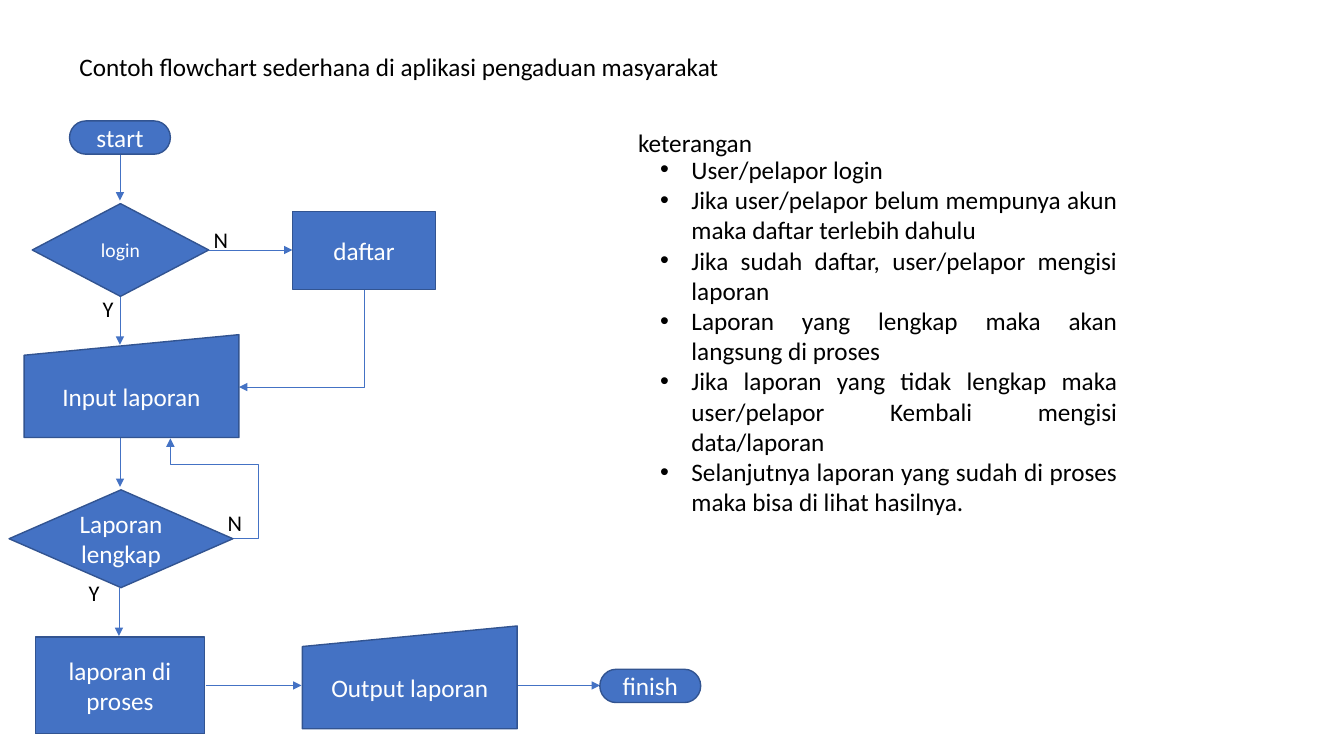
from dataclasses import dataclass

from lxml.etree import SubElement
from pptx import Presentation
from pptx.dml.color import RGBColor
from pptx.enum.shapes import MSO_CONNECTOR, MSO_SHAPE
from pptx.enum.text import MSO_ANCHOR, MSO_AUTO_SIZE, PP_ALIGN
from pptx.oxml.ns import qn
from pptx.shapes.connector import Connector
from pptx.slide import Slide
from pptx.text.text import TextFrame
from pptx.util import Inches, Pt


@dataclass(frozen=True)
class Theme:
    font: str = "Calibri"
    fill: RGBColor = RGBColor(0x44, 0x72, 0xC4)
    outline: RGBColor = RGBColor(0x32, 0x54, 0x91)
    light_text: RGBColor = RGBColor(0xFF, 0xFF, 0xFF)
    dark_text: RGBColor = RGBColor(0, 0, 0)
    body_size: int = 18
    branch_size: int = 16
    small_size: int = 14
    outline_width: float = 1
    arrow_width: float = 0.5


THEME = Theme()


@dataclass(frozen=True)
class Step:
    text: str
    kind: MSO_SHAPE
    left: float
    top: float
    width: float
    height: float
    size: int = THEME.body_size


@dataclass(frozen=True)
class Arrow:
    start: tuple[float, float]
    end: tuple[float, float]


@dataclass(frozen=True)
class Label:
    text: str
    left: float
    top: float
    width: float = 0.3
    height: float = 0.37
    size: int = THEME.branch_size
    wrap: bool = True


STEPS = [
    Step("start", MSO_SHAPE.FLOWCHART_TERMINATOR, 0.69, 1.2, 1, 0.33),
    Step("daftar", MSO_SHAPE.FLOWCHART_PROCESS, 2.9, 2.1, 1.42, 0.77),
    Step("login", MSO_SHAPE.FLOWCHART_DECISION, 0.32, 2.02, 1.75, 0.92, THEME.small_size),
    Step("Input laporan", MSO_SHAPE.FLOWCHART_MANUAL_INPUT, 0.24, 3.32, 2.13, 1.02),
    Step("Laporan lengkap", MSO_SHAPE.FLOWCHART_DECISION, 0.09, 4.86, 2.22, 0.97),
    Step("laporan di proses", MSO_SHAPE.FLOWCHART_PROCESS, 0.35, 6.32, 1.68, 0.96),
    Step("Output laporan", MSO_SHAPE.FLOWCHART_MANUAL_INPUT, 3, 6.21, 2.13, 1.02),
    Step("finish", MSO_SHAPE.FLOWCHART_TERMINATOR, 5.95, 6.64, 1, 0.33),
]
STRAIGHT_ARROWS = [
    Arrow((1.19, 1.53), (1.19, 1.99)),
    Arrow((2.07, 2.48), (2.9, 2.48)),
    Arrow((1.19, 2.94), (1.19, 3.42)),
    Arrow((1.19, 4.35), (1.19, 4.83)),
    Arrow((1.18, 5.83), (1.18, 6.31)),
    Arrow((2.04, 6.8), (2.99, 6.8)),
    Arrow((5, 6.8), (5.95, 6.8)),
]
REGISTERED_ARROW = Arrow((3.61, 2.86), (2.37, 3.84))
INCOMPLETE_ARROW = Arrow((2.31, 5.34), (1.69, 4.35))
LABELS = [
    Label("N", 2.16, 5),
    Label("Y", 0.78, 5.7),
    Label("N", 2.02, 2.19),
    Label("Y", 0.92, 2.88),
    Label("Contoh flowchart sederhana di aplikasi pengaduan masyarakat",
          0.69, 0.46, 6.74, 0.4, THEME.body_size, False),
    Label("keterangan", 6.23, 1.21, 1.35, 0.4, THEME.body_size, False),
]
NOTES = Label(
    "\n".join([
        "User/pelapor login",
        "Jika user/pelapor belum mempunya akun maka daftar terlebih dahulu",
        "Jika sudah daftar, user/pelapor mengisi laporan",
        "Laporan yang lengkap maka akan langsung di proses",
        "Jika laporan yang tidak lengkap maka user/pelapor Kembali mengisi data/laporan",
        "Selanjutnya laporan yang sudah di proses maka bisa di lihat hasilnya.",
    ]),
    6.45, 1.48, 4.73, 3.74, THEME.body_size,
)


def format_text(text_frame: TextFrame, size: int, color: RGBColor, alignment: PP_ALIGN) -> None:
    for paragraph in text_frame.paragraphs:
        paragraph.alignment = alignment
        for run in paragraph.runs:
            run.font.name = THEME.font
            run.font.size = Pt(size)
            run.font.color.rgb = color


def draw_step(slide: Slide, step: Step) -> None:
    shape = slide.shapes.add_shape(
        step.kind, Inches(step.left), Inches(step.top), Inches(step.width), Inches(step.height))
    shape.shadow.inherit = False
    shape.fill.solid()
    shape.fill.fore_color.rgb = THEME.fill
    shape.line.color.rgb = THEME.outline
    shape.line.width = Pt(THEME.outline_width)
    shape.text_frame.text = step.text
    shape.text_frame.word_wrap = True
    shape.text_frame.vertical_anchor = MSO_ANCHOR.MIDDLE
    format_text(shape.text_frame, step.size, THEME.light_text, PP_ALIGN.CENTER)


def draw_arrow(slide: Slide, arrow: Arrow, kind: MSO_CONNECTOR = MSO_CONNECTOR.STRAIGHT) -> Connector:
    connector = slide.shapes.add_connector(
        kind, *(Inches(value) for value in arrow.start + arrow.end))
    connector.line.color.rgb = THEME.fill
    connector.line.width = Pt(THEME.arrow_width)
    properties = connector.element.spPr
    SubElement(properties.find(qn("a:ln")), qn("a:tailEnd"), type="triangle")
    SubElement(properties, qn("a:effectLst"))
    return connector


def draw_down_left_arrow(slide: Slide, arrow: Arrow) -> None:
    """Go down, then left: a one-bend connector turned by 90 degrees about its centre."""
    (start_x, start_y), (end_x, end_y) = arrow.start, arrow.end
    center_x, center_y = (start_x + end_x) / 2, (start_y + end_y) / 2
    half_width, half_height = (end_y - start_y) / 2, (start_x - end_x) / 2
    unturned = Arrow((center_x - half_width, center_y - half_height),
                     (center_x + half_width, center_y + half_height))
    properties = draw_arrow(slide, unturned, MSO_CONNECTOR.ELBOW).element.spPr
    properties.find(qn("a:xfrm")).set("rot", str(90 * 60000))
    properties.find(qn("a:prstGeom")).set("prst", "bentConnector2")


def draw_loop_arrow(slide: Slide, arrow: Arrow, bends: tuple[float, float]) -> None:
    """Draw three bends; bends are shares of the connector's width and height."""
    properties = draw_arrow(slide, arrow, MSO_CONNECTOR.ELBOW).element.spPr
    geometry = properties.find(qn("a:prstGeom"))
    geometry.set("prst", "bentConnector4")
    adjustments = geometry.find(qn("a:avLst"))
    for number, bend in enumerate(bends, start=1):
        SubElement(adjustments, qn("a:gd"), name=f"adj{number}", fmla=f"val {round(bend * 100000)}")


def draw_label(slide: Slide, label: Label, alignment: PP_ALIGN = PP_ALIGN.LEFT) -> TextFrame:
    text_box = slide.shapes.add_textbox(
        Inches(label.left), Inches(label.top), Inches(label.width), Inches(label.height))
    text_frame = text_box.text_frame
    text_frame.text = label.text
    text_frame.word_wrap = label.wrap
    text_frame.auto_size = MSO_AUTO_SIZE.SHAPE_TO_FIT_TEXT
    format_text(text_frame, label.size, THEME.dark_text, alignment)
    return text_frame


def draw_notes(slide: Slide) -> None:
    for paragraph in draw_label(slide, NOTES, PP_ALIGN.JUSTIFY).paragraphs:
        properties = paragraph._p.get_or_add_pPr()
        properties.set("marL", str(Inches(0.31)))
        properties.set("indent", str(Inches(-0.31)))
        SubElement(properties, qn("a:buFont"), typeface="Arial")
        SubElement(properties, qn("a:buChar"), char="•")


def main() -> None:
    presentation = Presentation()
    presentation.slide_width = Inches(13.33)
    presentation.slide_height = Inches(7.5)
    slide = presentation.slides.add_slide(presentation.slide_layouts[6])
    for arrow in STRAIGHT_ARROWS:
        draw_arrow(slide, arrow)
    draw_down_left_arrow(slide, REGISTERED_ARROW)
    draw_loop_arrow(slide, INCOMPLETE_ARROW, (-0.41, 0.74))
    for step in STEPS:
        draw_step(slide, step)
    for label in LABELS:
        draw_label(slide, label)
    draw_notes(slide)
    presentation.save("out.pptx")


if __name__ == "__main__":
    main()
